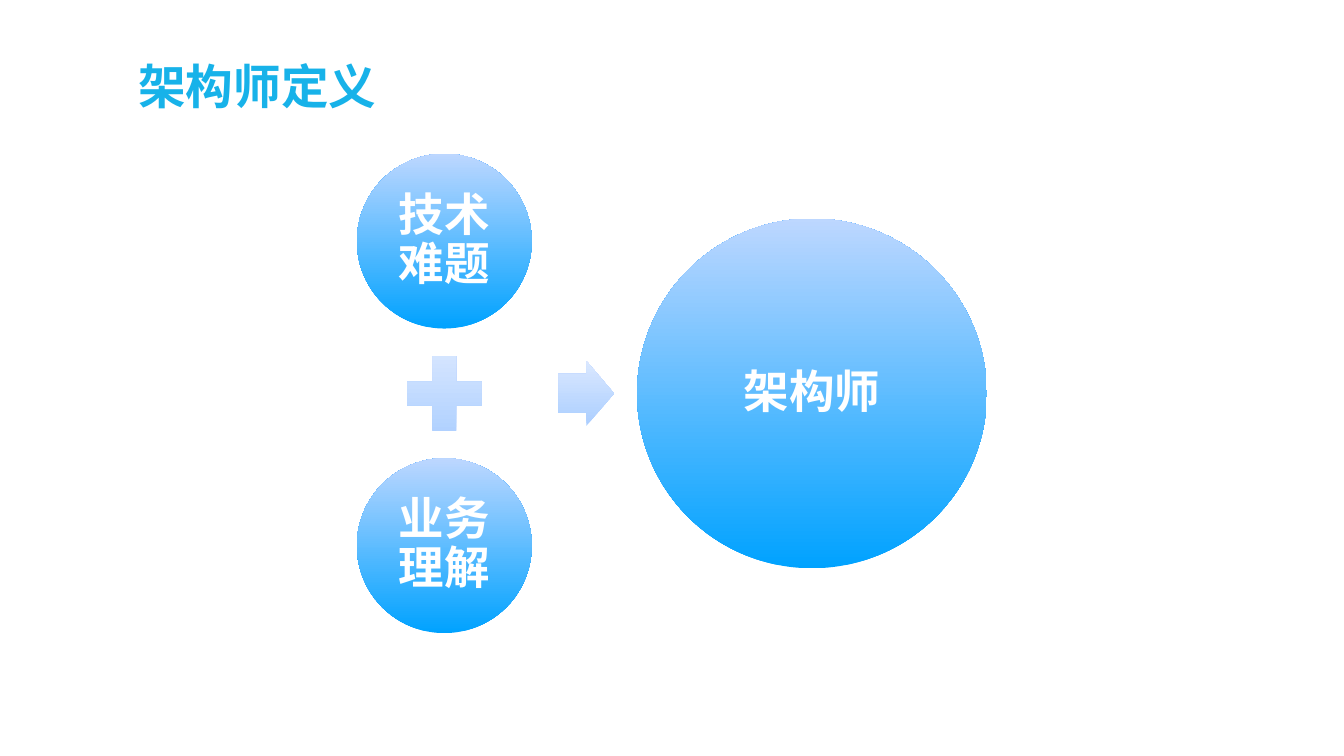
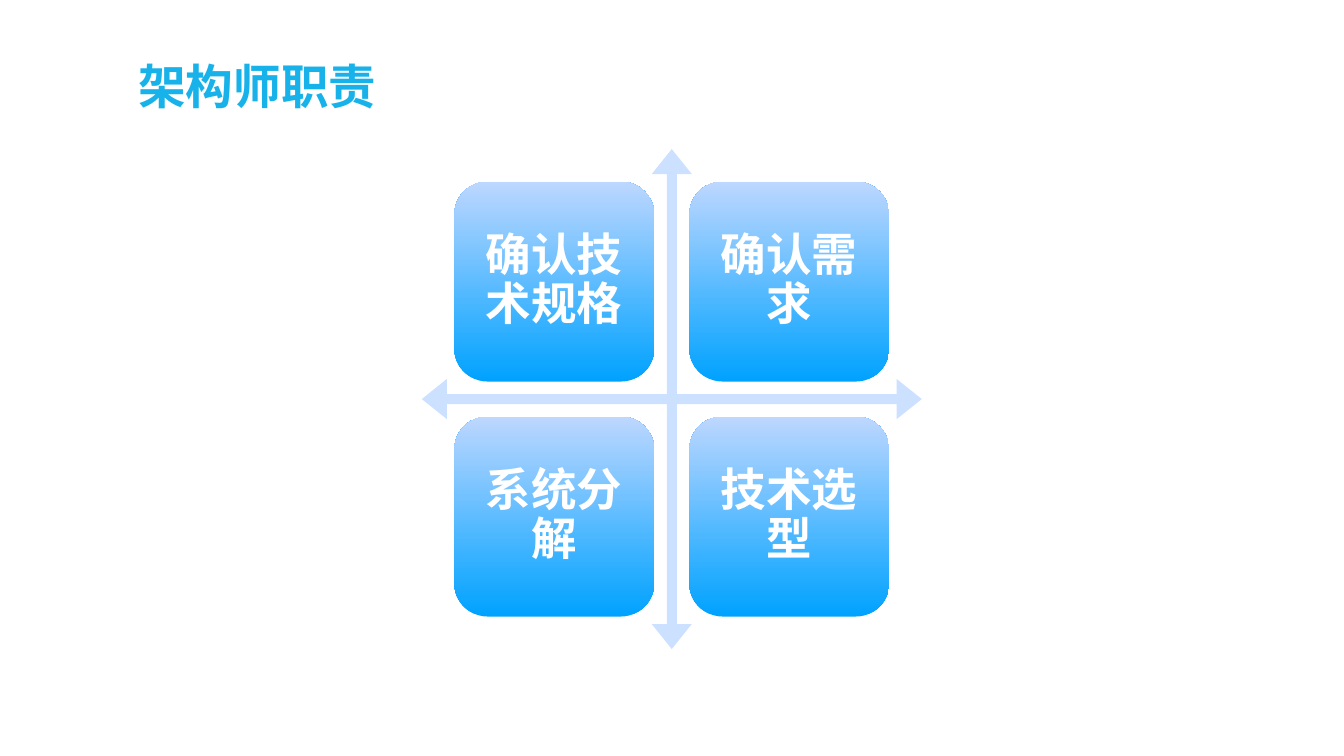
from lxml import etree
from pptx import Presentation
from pptx.dml.color import RGBColor
from pptx.enum.shapes import MSO_SHAPE
from pptx.enum.text import MSO_ANCHOR, MSO_AUTO_SIZE, PP_ALIGN
from pptx.oxml.ns import qn
from pptx.util import Pt

OVAL, PLUS, ARROW = MSO_SHAPE.OVAL, MSO_SHAPE.MATH_PLUS, MSO_SHAPE.RIGHT_ARROW
TILE, CROSS = MSO_SHAPE.ROUNDED_RECTANGLE, MSO_SHAPE.QUAD_ARROW
TOP, MID = MSO_ANCHOR.TOP, MSO_ANCHOR.MIDDLE
LEFT, CENTER = PP_ALIGN.LEFT, PP_ALIGN.CENTER

SUM = {"title": "架构师定义", "parts": ["技术难题", "业务理解"], "total": "架构师"}
DUTY = {"title": "架构师职责",
        "grid": [["确认技术规格", "确认需求"], ["系统分解", "技术选型"]]}

HUE = {"title": "17B2E9", "text": "FFFFFF", "deep": "00A2FF", "light": "BDD7FF",
       "mid": "ABCEFF", "pale": "DAE8FF", "cross": "CCE0FF"}
MAIN, SIGN = ("deep", "light"), ("mid", "pale")
LATIN, HAN = "Arial", "Noto Sans CJK SC"
SIZE = (1920, 1080)
TITLE_BOX = (193.7, 77, 1532.2, 103)


def write(shape, text, size=65, font=HAN, color="text", align=CENTER,
          anchor=MID, inset=6.5, lead=0.9):
    frame = shape.text_frame
    frame.word_wrap = True
    frame.auto_size = MSO_AUTO_SIZE.NONE
    frame.vertical_anchor = anchor
    frame.margin_left = frame.margin_right = Pt(inset)
    frame.margin_top = frame.margin_bottom = Pt(inset)
    para = frame.paragraphs[0]
    para.alignment, para.line_spacing = align, lead
    run = para.add_run()
    run.text = text
    run.font.name, run.font.size, run.font.bold = font, Pt(size), True
    run.font.color.rgb = RGBColor.from_string(HUE[color])
    east = etree.SubElement(run.font._element, qn("a:ea"))
    east.set("typeface", HAN)


def draw(slide, kind, box, hues, adjust=()):
    """Add a borderless shape; two hues make a gradient from bottom to top."""
    shape = slide.shapes.add_shape(kind, *map(Pt, box))
    shape.shadow.inherit = False
    shape.line.fill.background()
    for i, value in enumerate(adjust):
        shape.adjustments[i] = value
    colors = [RGBColor.from_string(HUE[hue]) for hue in hues]
    if len(colors) == 1:
        shape.fill.solid()
        shape.fill.fore_color.rgb = colors[0]
    else:
        shape.fill.gradient()
        shape.fill.gradient_angle = 90
        for stop, color in zip(shape.fill.gradient_stops, colors):
            stop.color.rgb = color
    return shape


def start(deck, title):
    """Add a slide with its title."""
    slide = deck.slides.add_slide(deck.slide_layouts[5])
    head = slide.shapes.title
    head.left, head.top, head.width, head.height = map(Pt, TITLE_BOX)
    write(head, title, size=68, font=LATIN, color="title", align=LEFT,
          anchor=TOP, inset=4, lead=1)
    return slide


def build_sum(deck):
    slide = start(deck, SUM["title"])
    left, top, part, plus, gap = 509.8, 219.6, 249.8, 144.7, 20.3
    total, total_x = 2 * part, 910.1
    arrow_x, arrow_w, arrow_h = 797.8, 79.4, 92.9
    step = part + plus + 2 * gap
    mid = top + (step + part) / 2

    for i, text in enumerate(SUM["parts"]):
        write(draw(slide, OVAL, (left, top + i * step, part, part), MAIN), text)
    draw(slide, PLUS, (left + (part - plus) / 2, mid - plus / 2, plus, plus), SIGN)
    draw(slide, ARROW, (arrow_x, mid - arrow_h / 2, arrow_w, arrow_h), SIGN, (0.6, 0.5))
    write(draw(slide, OVAL, (total_x, mid - total / 2, total, total), MAIN), SUM["total"])


def build_duty(deck):
    slide = start(deck, DUTY["title"])
    left, top, side = 602.6, 213, 714.2
    tile, edge = 0.4 * side, 0.065 * side
    step = side - 2 * edge - tile

    draw(slide, CROSS, (left, top, side, side), ("cross",), (0.02, 0.04, 0.05))
    for r, row in enumerate(DUTY["grid"]):
        for c, text in enumerate(row):
            box = (left + edge + c * step, top + edge + r * step, tile, tile)
            write(draw(slide, TILE, box, MAIN), text, inset=19.4)


def main():
    deck = Presentation()
    deck.slide_width, deck.slide_height = map(Pt, SIZE)
    build_sum(deck)
    build_duty(deck)
    deck.save("out.pptx")


if __name__ == "__main__":
    main()
